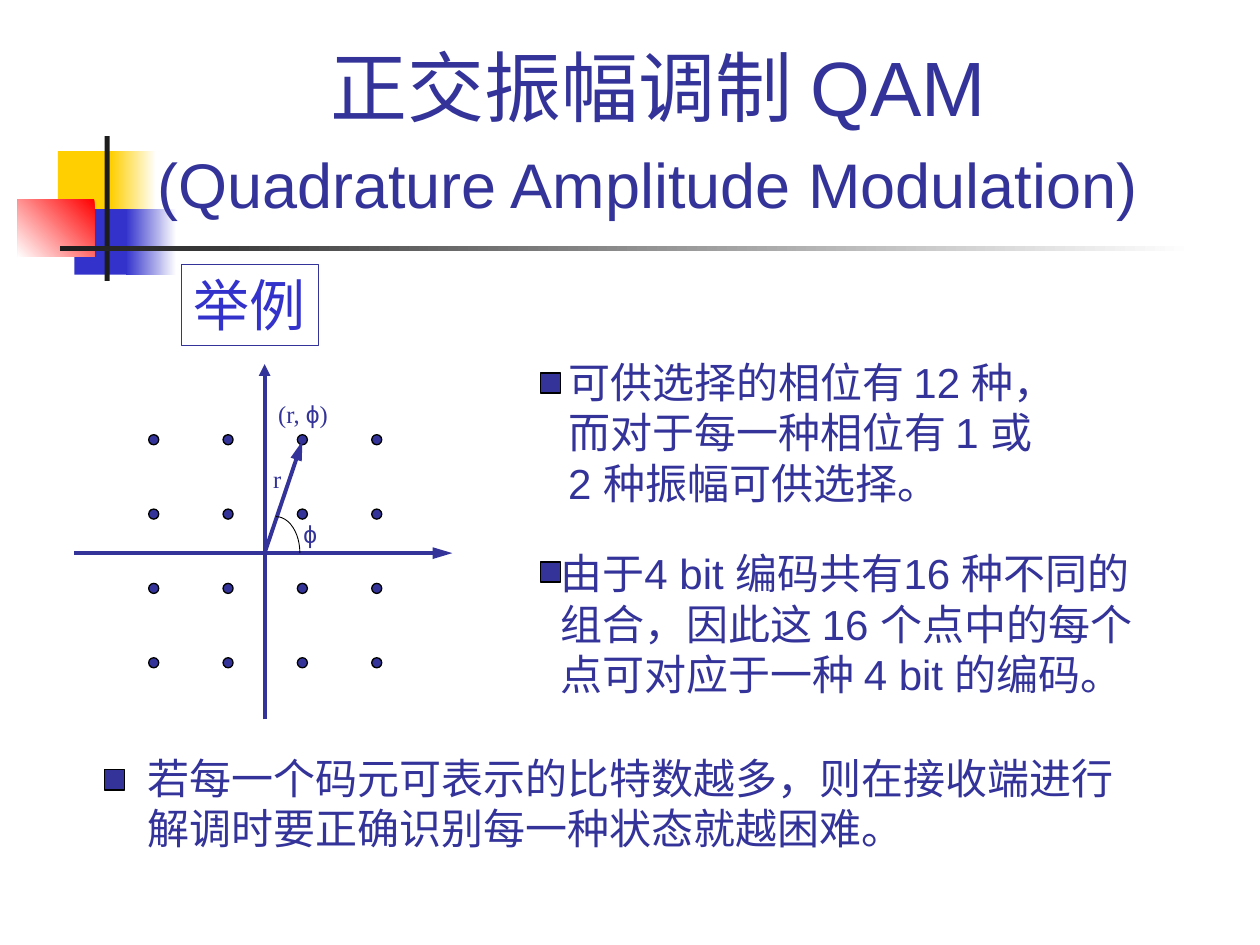
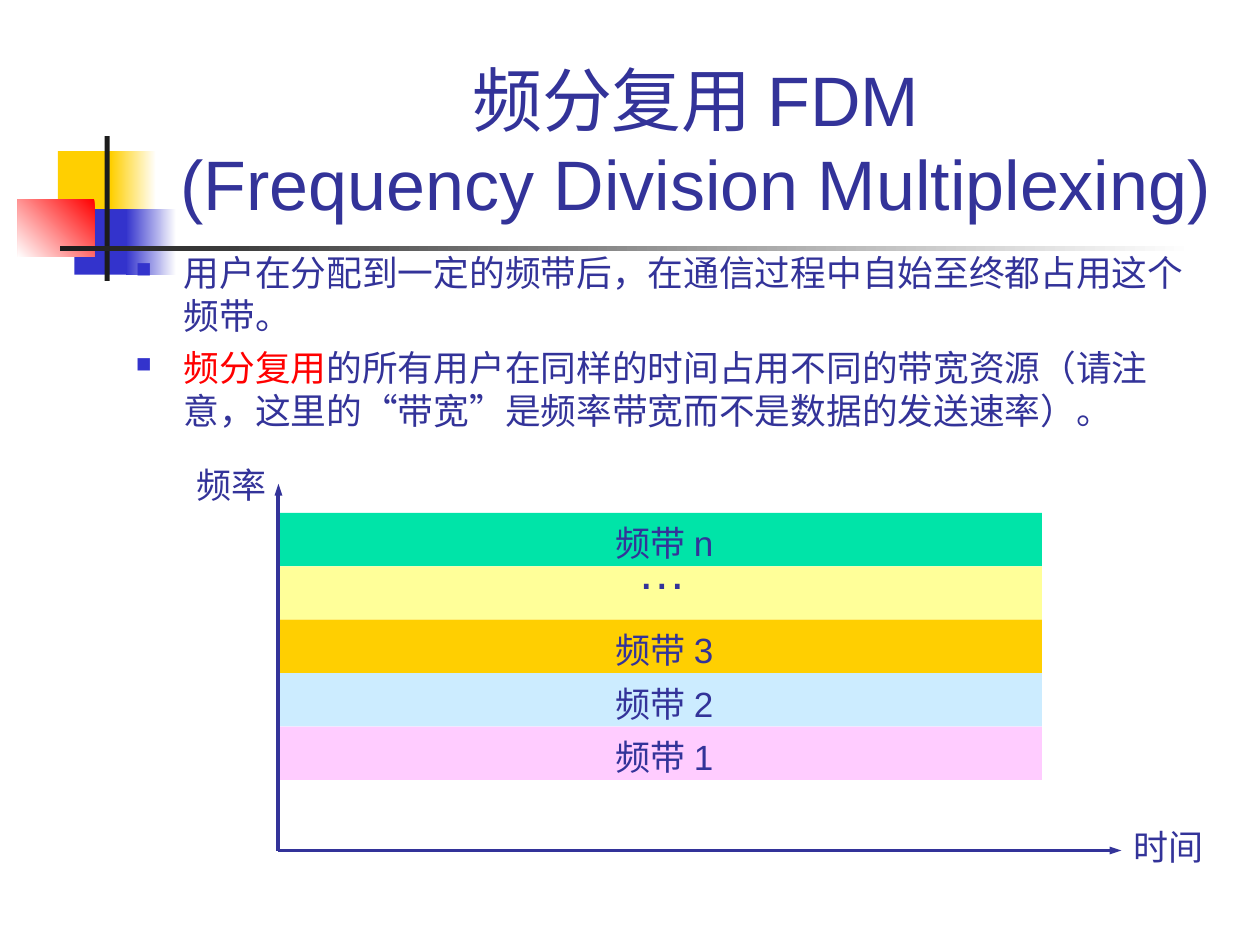
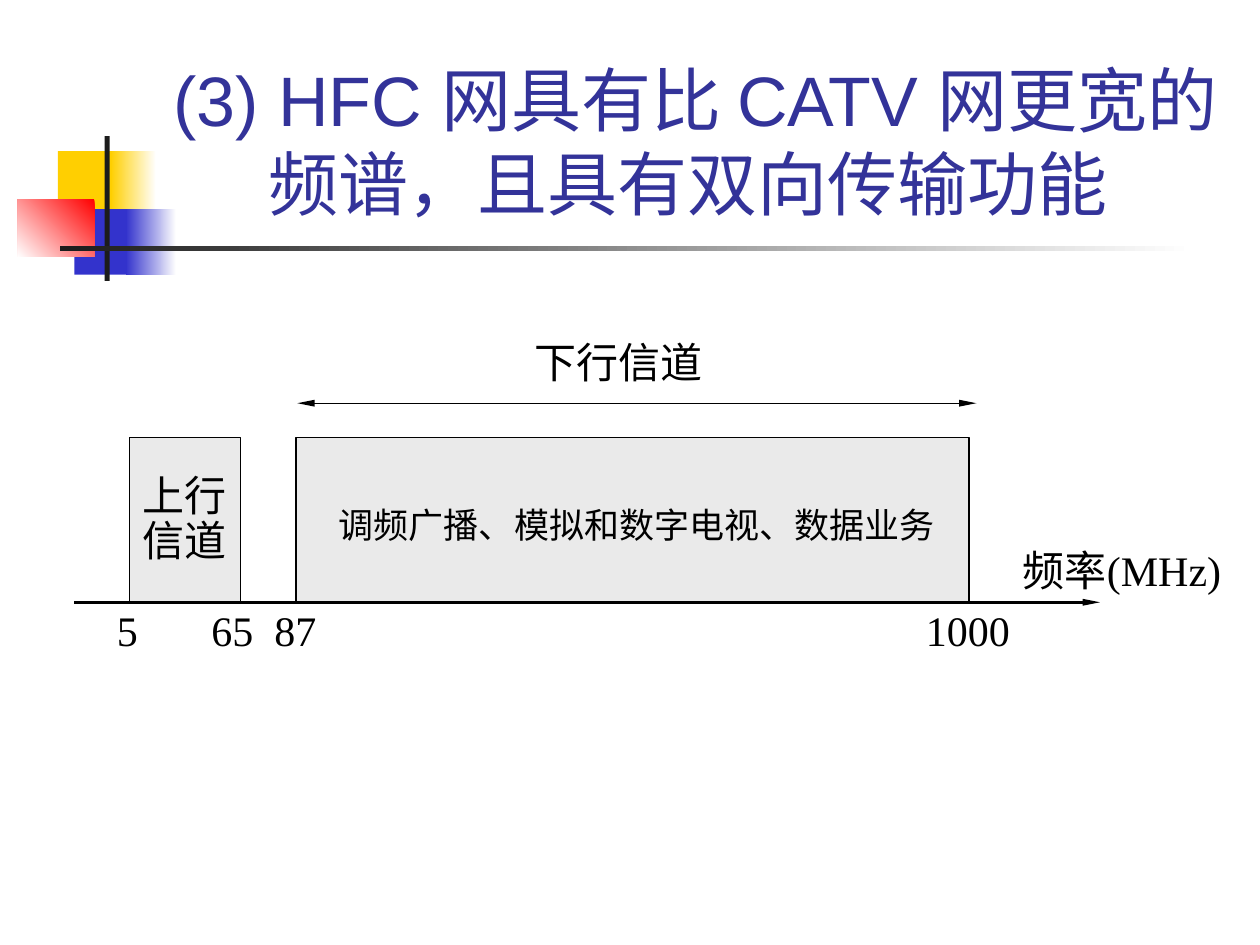
from math import cos, pi, sin

from lxml.etree import SubElement as Sub
from pptx import Presentation
from pptx.dml.color import RGBColor as Rgb
from pptx.enum.shapes import MSO_CONNECTOR as Conn, MSO_SHAPE as Kind
from pptx.enum.text import MSO_ANCHOR as Anchor, MSO_AUTO_SIZE as Auto, PP_ALIGN as Align
from pptx.oxml.ns import qn
from pptx.util import Inches, Pt

INK = {
    "navy": "333399", "blue": "3333CC", "gold": "FFCF01", "red": "FF0000",
    "white": "FFFFFF", "black": "000000", "dark": "1C1C1C", "gray": "EAEAEA",
    "mint": "00E4A8", "lemon": "FFFF99", "sky": "CCECFF", "pink": "FFCCFF",
}
SERIF = "Times New Roman"
SANS = "Arial"
HAN = "Noto Sans CJK SC"
SLACK = 0.06  # spare width that keeps tight labels on one line


def rgb(name):
    return Rgb.from_string(INK[name])


def edge(shape, color, width):
    if color:
        shape.line.color.rgb = rgb(color)
        shape.line.width = Pt(width)
    else:
        shape.line.fill.background()


def block(slide, box, fill=None, line=None, kind=Kind.RECTANGLE, angle=0):
    """Draw a preset shape; a pair of colours as fill makes a gradient."""
    shape = slide.shapes.add_shape(kind, *map(Inches, box))
    shape.shadow.inherit = False
    if isinstance(fill, tuple):
        shape.fill.gradient()
        shape.fill.gradient_angle = 360 - angle
        for stop, (spot, color) in zip(shape.fill.gradient_stops, enumerate(fill)):
            stop.position = spot
            stop.color.rgb = rgb(color)
    elif fill:
        shape.fill.solid()
        shape.fill.fore_color.rgb = rgb(fill)
    else:
        shape.fill.background()
    edge(shape, line, 0.75)
    return shape


def rule(slide, start, end, color="navy", width=2.25, head=False, wide="med", long="med"):
    """Draw an arrow; head adds a second tip at the start."""
    line = slide.shapes.add_connector(Conn.STRAIGHT, *map(Inches, start + end))
    edge(line, color, width)
    for tag in ("a:headEnd", "a:tailEnd") if head else ("a:tailEnd",):
        Sub(line.line._get_or_add_ln(), qn(tag), type="triangle", w=wide, len=long)
    Sub(line._element.spPr, qn("a:effectLst"))


def bullet(para):
    props = para._p.get_or_add_pPr()
    props.set("marL", str(Inches(0.38)))
    props.set("indent", str(-Inches(0.38)))
    props.set("hangingPunct", "0")
    Sub(Sub(props, qn("a:buClr")), qn("a:srgbClr"), val=INK["blue"])
    Sub(props, qn("a:buSzPct"), val="60000")
    Sub(props, qn("a:buChar"), char="■")


def tabs(para, stops):
    group = Sub(para._p.get_or_add_pPr(), qn("a:tabLst"))
    for stop in stops:
        Sub(group, qn("a:tab"), pos=str(Inches(stop)), algn="l")


def text(slide, box, paras, size=24, font=SANS, color="navy", align=Align.LEFT,
         anchor=Anchor.TOP, wrap=False, space=None, before=0, marks=False, stops=()):
    """Add paragraphs; each is a string or a list of (string, run format)."""
    x, y, w, h = box
    room = w if wrap else w + SLACK
    frame = slide.shapes.add_textbox(*map(Inches, (x, y, room, h))).text_frame
    frame.word_wrap = wrap
    frame.auto_size = Auto.NONE if wrap else Auto.SHAPE_TO_FIT_TEXT
    frame.vertical_anchor = anchor
    for i, runs in enumerate(paras):
        para = frame.add_paragraph() if i else frame.paragraphs[0]
        para.alignment = align
        para.space_before = Pt(before)
        if space:
            para.line_spacing = space
        if marks:
            bullet(para)
        if stops:
            tabs(para, stops)
        for words, form in [(runs, {})] if isinstance(runs, str) else runs:
            run = para.add_run()
            run.text = words
            run.font.size = Pt(form.get("size", size))
            run.font.name = form.get("font", font)
            run.font.color.rgb = rgb(form.get("color", color))
            Sub(run._r.get_or_add_rPr(), qn("a:ea"), typeface=HAN)


def decor(slide):
    block(slide, (0.46, 1.2, 0.48, 0.52), "gold")
    block(slide, (0.88, 1.2, 0.36, 0.52), ("white", "gold"), angle=180)
    block(slide, (0.59, 1.66, 0.46, 0.52), "blue")
    block(slide, (1, 1.66, 0.4, 0.52), ("white", "blue"), angle=180)
    block(slide, (0.14, 1.58, 0.61, 0.46), ("red", "white"), angle=135)
    block(slide, (0.83, 1.08, 0.04, 1.15), "dark")
    block(slide, (0.48, 1.95, 9, 0.04), ("white", "dark"), angle=180)


def start(deck, paras, box=(1.26, 0.23, 8.52, 1.6), size=40):
    """Add a slide with the shared decoration and title."""
    slide = deck.slides.add_slide(deck.slide_layouts[6])
    decor(slide)
    text(slide, box, paras, size, align=Align.CENTER, anchor=Anchor.BOTTOM, wrap=True)
    return slide


def points(slide, x, y):
    """Draw the 4 by 4 signal points with axes, radius and angle."""
    mid, base = x + 1.51, y + 1.5
    rule(slide, (mid, y + 2.82), (mid, y))
    for i in range(16):
        row, col = divmod(i, 4)
        dot = (x + 0.59 + 0.59 * col, y + 0.56 + 0.59 * row, 0.08, 0.08)
        block(slide, dot, "navy", "black", Kind.OVAL)
    rule(slide, (x, base), (x + 3, base), long="lg")
    rule(slide, (mid, base), (mid + 0.3, y + 0.61), long="lg")
    turns = [pi / 2 * i / 12 for i in range(13)]
    curve = [(Inches(x + 1.6 + 0.19 * sin(t)), Inches(base - 0.29 * cos(t))) for t in turns]
    path = slide.shapes.build_freeform(*curve[0])
    path.add_line_segments(curve[1:], close=False)
    arc = path.convert_to_shape()
    arc.shadow.inherit = False
    arc.fill.background()
    edge(arc, "black", 0.5)
    text(slide, (x + 1.48, y + 0.74, 0.26, 0.34), ["r"], 14, SERIF)
    text(slide, (x + 1.72, y + 1.18, 0.32, 0.34), ["ϕ"], 14)
    label = [("(r, ", {}), ("ϕ", {"font": SANS}), (")", {})]
    text(slide, (x + 1.52, y + 0.23, 0.61, 0.34), [label], 14, SERIF)


def note(slide, box, paras, mark, font=SANS):
    """Add a text with a square mark at an offset from its corner."""
    text(slide, box, paras, font=font)
    block(slide, (box[0] + mark[0], box[1] + mark[1], 0.16, 0.16), "navy", "black")


def bands(slide, x, y, w, h):
    """Draw frequency bands over time; x, y, w, h bound the axes."""
    base, step = y + h, 0.424
    rule(slide, (x, base), (x + w, base), wide="sm")
    text(slide, (x - 0.75, y - 0.17, 0.75, 0.4), ["频率"], 20, SERIF, space=0.9)
    text(slide, (x + w, base - 0.21, 0.75, 0.4), ["时间"], 20, SERIF, space=0.9)
    rows = [("频带 n", "mint"), ("…", "lemon"), ("频带 3", "gold"),
            ("频带 2", "sky"), ("频带 1", "pink")]
    for i, (name, color) in enumerate(rows):
        top = y + 0.23 + step * i
        block(slide, (x, top, 6.06, step), color)
        if name == "…":
            text(slide, (x + 2.75, top - 0.2, 0.59, 0.52), [name], 28, space=0.9)
        else:
            text(slide, (x + 2.58, top + 0.06, 1.04, 0.4), [name], 20, space=0.9)
    rule(slide, (x, base), (x, y), wide="sm")


def bandmap(slide, x, y):
    """Draw the up and down channels on a frequency axis starting at x, y."""
    form = {"font": SERIF, "color": "black"}
    tip = {"wide": "sm", "long": "lg"}
    top, high = y - 1.31, 1.31
    rule(slide, (x + 1.77, y - 1.58), (x + 7.16, y - 1.58), "black", 0.75, head=True, **tip)
    text(slide, (x + 3.55, y - 2.16, 1.53, 0.5), ["下行信道"], **form)
    block(slide, (x + 0.44, top, 0.88, high), "gray", "black")
    text(slide, (x + 0.44, top + 0.25, 0.86, 0.82), ["上行", "信道"], space=0.9, **form)
    block(slide, (x + 1.76, top, 5.34, high), "gray", "black")
    text(slide, (x + 2, top + 0.48, 4.93, 0.44), ["调频广播、模拟和数字电视、数据业务"], 20, **form)
    text(slide, (x + 0.24, y - 0.03, 7.6, 0.5), ["5\t65\t87\t1000"], wrap=True,
         stops=(0.75, 1.25, 6.42), **form)
    text(slide, (x + 7.43, y - 0.51, 1.85, 0.5), ["频率(MHz)"], **form)
    rule(slide, (x, y), (x + 8.14, y), "black", 1.5, **tip)


def qam(deck):
    title = ["正交振幅调制 QAM",
             [("(Quadrature Amplitude Modulation)", {"size": 36}), (" ", {})]]
    slide = start(deck, title, (0.67, 0.23, 9.11, 1.6), 44)
    points(slide, 0.59, 2.89)
    note(slide, (4.41, 2.78, 4.23, 1.3),
         ["可供选择的相位有 12 种，", "而对于每一种相位有 1 或", "2 种振幅可供选择。"],
         (-0.12, 0.18))
    note(slide, (4.35, 4.3, 5.04, 1.3),
         ["由于4 bit 编码共有16 种不同的", "组合，因此这 16 个点中的每个",
          "点可对应于一种 4 bit 的编码。"], (-0.06, 0.16))
    note(slide, (1.07, 5.92, 7.86, 0.9),
         ["若每一个码元可表示的比特数越多，则在接收端进行",
          "解调时要正确识别每一种状态就越困难。"], (-0.24, 0.19), HAN)
    tag = (1.44, 2.1, 1.09, 0.64)
    block(slide, tag, line="navy")
    text(slide, tag, ["举例"], 32, "Roboto", "blue")


def fdm(deck):
    slide = start(deck, ["频分复用 FDM", "(Frequency Division Multiplexing) "])
    text(slide, (0.98, 1.94, 8.66, 1.97),
         ["用户在分配到一定的频带后，在通信过程中自始至终都占用这个频带。",
          [("频分复用", {"color": "red"}),
           ("的所有用户在同样的时间占用不同的带宽资源（请注意，这里的“带宽”"
            "是频率带宽而不是数据的发送速率）。", {})]],
         20.4, wrap=True, before=5.5, marks=True)
    bands(slide, 2.21, 3.84, 6.69, 2.91)


def hfc(deck):
    slide = start(deck, ["(3) HFC 网具有比 CATV 网更宽的频谱，且具有双向传输功能 "],
                  (1.26, 0.91, 8.52, 0.92))
    bandmap(slide, 0.59, 4.78)


def main():
    deck = Presentation()
    deck.slide_width, deck.slide_height = Inches(10), Inches(7.5)
    for make in (qam, fdm, hfc):
        make(deck)
    deck.save("out.pptx")


if __name__ == "__main__":
    main()
